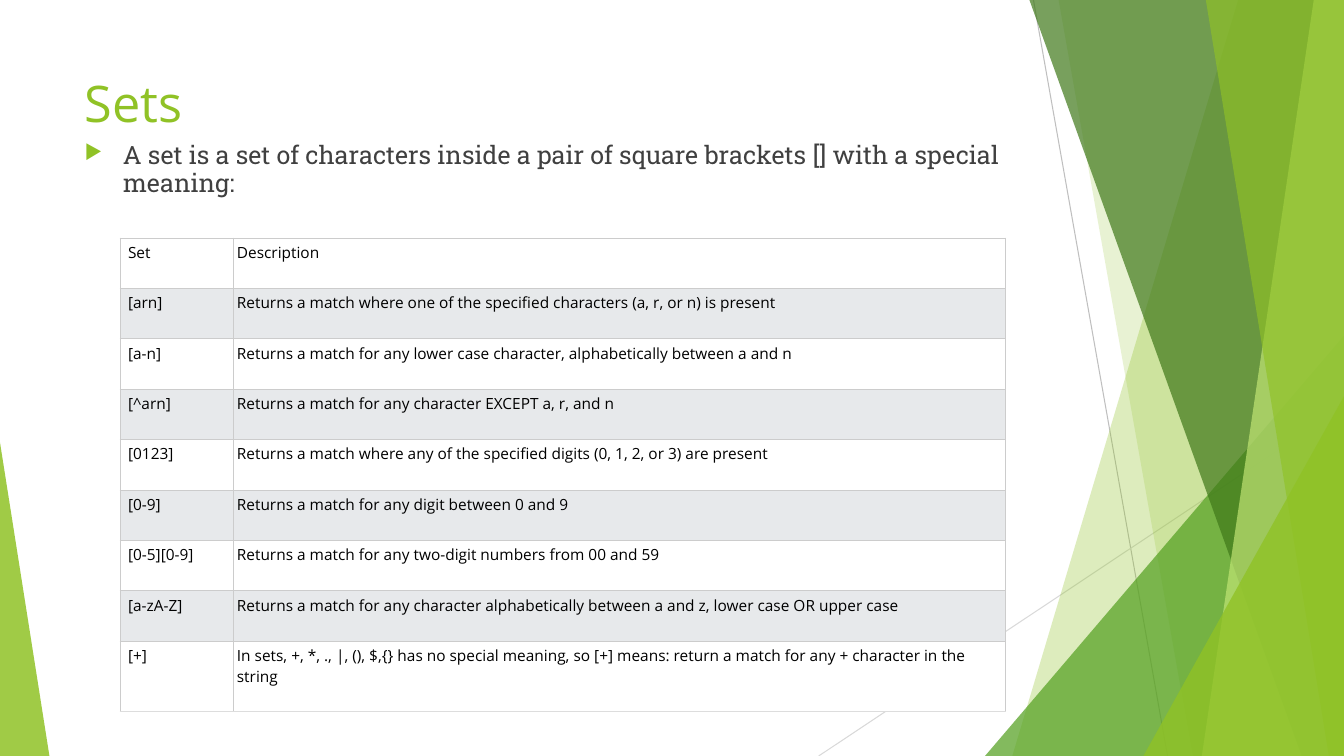
from lxml import etree
from pptx import Presentation
from pptx.dml.color import RGBColor
from pptx.enum.shapes import MSO_CONNECTOR, MSO_SHAPE
from pptx.enum.text import MSO_ANCHOR
from pptx.oxml import parse_xml
from pptx.oxml.ns import nsdecls, qn
from pptx.util import Inches, Pt

STRAIGHT = MSO_CONNECTOR.STRAIGHT
TRIANGLE = MSO_SHAPE.ISOSCELES_TRIANGLE
TOP = MSO_ANCHOR.TOP

# Content
TITLE = "Sets"
INTRO = ("A set is a set of characters inside a pair of square brackets [] "
         "with a special meaning:")
SETS = [
    ("Set", "Description"),
    ("[arn]", "Returns a match where one of the specified characters "
              "(a,\u00a0r, or\u00a0n) is present"),
    ("[a-n]", "Returns a match for any lower case character, alphabetically "
              "between\u00a0a\u00a0and\u00a0n"),
    ("[^arn]", "Returns a match for any character EXCEPT\u00a0a,\u00a0r, and\u00a0n"),
    ("[0123]", "Returns a match where any of the specified digits "
               "(0,\u00a01,\u00a02, or\u00a03) are present"),
    ("[0-9]", "Returns a match for any digit between\u00a00\u00a0and\u00a09"),
    ("[0-5][0-9]", "Returns a match for any two-digit numbers "
                   "from\u00a000\u00a0and\u00a059"),
    ("[a-zA-Z]", "Returns a match for any character alphabetically "
                 "between\u00a0a\u00a0and\u00a0z, lower case OR upper case"),
    ("[+]", "In sets,\u00a0+,\u00a0*,\u00a0.,\u00a0|,\u00a0(),\u00a0$,{}\u00a0has no "
            "special meaning, so\u00a0[+]\u00a0means: return a match for "
            "any\u00a0+\u00a0character in the string"),
]

# Theme
THEME = {
    "lime": "90C226", "green": "54A021", "forest": "3F7819", "pale": "C0E474",
    "title": {"size": Pt(36), "name": "Open Sans", "color": "90C226"},
    "intro": {"size": Pt(18), "name": "Roboto Slab", "color": "404040"},
    "cell": {"size": Pt(11), "name": "Open Sans", "color": "000000"},
    "bands": ("FFFFFF", "E7E9EB"),
    "border": "CCCCCC", "last_border": "DDDDDD", "border_width": Pt(0.6),
}

# Layout, in inches
WIDTH, HEIGHT = 13.33, 7.5
RAYS = [((10.25, 0), (11.58, HEIGHT), "BFBFBF"),
        ((WIDTH, 4.03), (8.12, HEIGHT), "D9D9D9")]
# Panels run from a slanted edge (top x, bottom x) to the right side;
# wedges are right triangles (left, top, width, apex) standing on the bottom.
FACETS = [
    ("panel", (12.28, 10.04), "lime", 30),
    ("panel", (10.5, 11.83), "lime", 20),
    ("wedge", (9.77, 3.33, 3.56, 1), "green", 72),
    ("panel", (10.21, 12.91), "forest", 70),
    ("panel", (13.03, 11.92), "pale", 70),
    ("panel", (11.96, 13.18), "lime", 65),
    ("wedge", (11.34, 3.93, 1.99, 1), "lime", 80),
    ("wedge", (0, 4.39, 0.49, 0), "lime", 85),
]
TITLE_BOX = (0.74, 0.67, 9.4, 0.7)
INTRO_BOX = (0.74, 1.37, 9.4, 0.8)
INDENT = 0.38
TABLE_AT = (1.19, 2.36)
COLUMNS = (1.12, 7.66)
ROW, LAST_ROW = 0.5, 0.7
CELL_INSET, FIRST_INSET = 0.04, 0.08

prs = Presentation()
prs.slide_width, prs.slide_height = Inches(WIDTH), Inches(HEIGHT)
slide = prs.slides.add_slide(prs.slide_layouts[6])
shapes = slide.shapes


def rgb(value):
    return RGBColor.from_string(value)


def inches(values):
    return [Inches(v) for v in values]


def write(frame, text, style):
    paragraph = frame.paragraphs[0]
    run = paragraph.add_run()
    run.text = text
    for key, value in style.items():
        if key == "color":
            run.font.color.rgb = rgb(value)
        else:
            setattr(run.font, key, value)
    return paragraph


def text_box(box, text, style):
    frame = shapes.add_textbox(*inches(box)).text_frame
    frame.word_wrap = True
    frame.vertical_anchor = TOP
    return write(frame, text, style)


def panel(top_x, bottom_x):
    corners = [(WIDTH, 0), (WIDTH, HEIGHT), (bottom_x, HEIGHT)]
    outline = shapes.build_freeform(*inches((top_x, 0)))
    outline.add_line_segments([inches(c) for c in corners], close=True)
    return outline.convert_to_shape()


def wedge(left, top, width, apex):
    shape = shapes.add_shape(TRIANGLE, *inches((left, top, width, HEIGHT - top)))
    shape.adjustments[0] = apex
    return shape


# Thin rays
for start, end, color in RAYS:
    ray = shapes.add_connector(STRAIGHT, *inches(start + end))
    ray.line.color.rgb = rgb(color)
    ray.line.width = Pt(0.75)
    etree.SubElement(ray._element.spPr, qn("a:effectLst"))

# Translucent facets
BUILDERS = {"panel": panel, "wedge": wedge}
for kind, geometry, color, opacity in FACETS:
    facet = BUILDERS[kind](*geometry)
    facet.shadow.inherit = False
    facet.line.fill.background()
    facet.fill.solid()
    facet.fill.fore_color.rgb = rgb(THEME[color])
    tint = facet._element.spPr.find(".//" + qn("a:srgbClr"))
    etree.SubElement(tint, qn("a:alpha"), val=str(opacity * 1000))

# Title and bulleted introduction
text_box(TITLE_BOX, TITLE, THEME["title"])
intro = text_box(INTRO_BOX, INTRO, THEME["intro"])
intro.line_spacing = 0.9
bullet = intro._p.get_or_add_pPr()
bullet.set("marL", str(Inches(INDENT)))
bullet.set("indent", str(-Inches(INDENT)))
for xml in (f'<a:buClr {nsdecls("a")}><a:srgbClr val="{THEME["lime"]}"/></a:buClr>',
            f'<a:buSzPct {nsdecls("a")} val="80000"/>',
            f'<a:buChar {nsdecls("a")} char="\u25b6"/>'):
    bullet.append(parse_xml(xml))


# Table of sets
def add_borders(cell, bottom):
    props = cell._tc.get_or_add_tcPr()
    sides = dict.fromkeys(("lnL", "lnR", "lnT"), THEME["border"]) | {"lnB": bottom}
    for place, (side, color) in enumerate(sides.items()):
        props.insert(place, parse_xml(
            f'<a:{side} {nsdecls("a")} w="{THEME["border_width"]}"><a:solidFill>'
            f'<a:srgbClr val="{color}"/></a:solidFill></a:{side}>'))


heights = [ROW] * (len(SETS) - 1) + [LAST_ROW]
table = shapes.add_table(len(SETS), len(COLUMNS), *inches(TABLE_AT),
                         *inches((sum(COLUMNS), sum(heights)))).table
for column, width in zip(table.columns, COLUMNS):
    column.width = Inches(width)
for r, (row, height) in enumerate(zip(SETS, heights)):
    table.rows[r].height = Inches(height)
    last = r == len(SETS) - 1
    for c, text in enumerate(row):
        cell = table.cell(r, c)
        for side in ("left", "right", "top", "bottom"):
            setattr(cell, "margin_" + side, Inches(CELL_INSET))
        if c == 0:
            cell.margin_left = Inches(FIRST_INSET)
        cell.vertical_anchor = TOP
        cell.fill.solid()
        cell.fill.fore_color.rgb = rgb(THEME["bands"][r % 2])
        add_borders(cell, THEME["last_border" if last else "border"])
        write(cell.text_frame, text, THEME["cell"])

prs.save("out.pptx")
